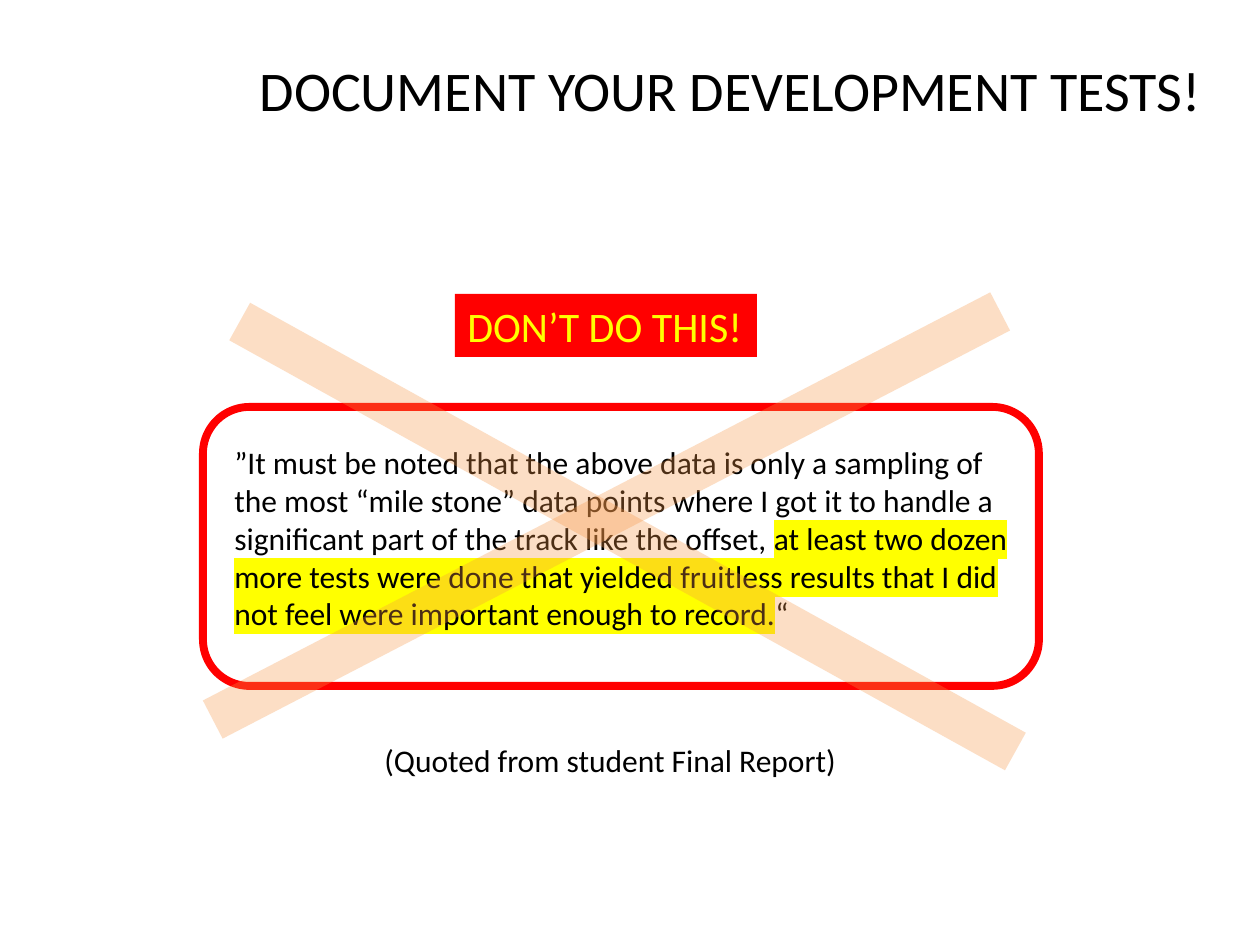
import pptx
import pptx.util
import pptx.dml.color
import pptx.enum.shapes
import pptx.enum.text
import pptx.oxml
import pptx.oxml.ns
import lxml.etree

SCALE = 914400 // 126  # EMU per px
SHAPE = pptx.enum.shapes.MSO_SHAPE
TEXT = pptx.enum.text


def tint(code):
    return pptx.dml.color.RGBColor.from_string(code)


def style(shape, size, code, wrap=False):
    frame = shape.text_frame
    frame.word_wrap = wrap
    frame.auto_size = TEXT.MSO_AUTO_SIZE.NONE
    frame.vertical_anchor = TEXT.MSO_ANCHOR.TOP
    for par in frame.paragraphs:
        par.alignment = TEXT.PP_ALIGN.LEFT
        for run in par.runs:
            run.font.name = "Calibri"
            run.font.size = pptx.util.Pt(size)
            run.font.color.rgb = tint(code)


deck = pptx.Presentation()
deck.slide_width = pptx.util.Inches(10)
deck.slide_height = pptx.util.Inches(7.5)
slide = deck.slides.add_slide(deck.slide_layouts[5])
shapes = slide.shapes

# Title
title = shapes.title
title.left, title.top, title.width, title.height = [
    n * SCALE for n in (247, 49, 977, 81)]
title.text_frame.text = "DOCUMENT YOUR DEVELOPMENT TESTS!"
style(title, 32, "000000")

# Quote with its highlighted part
quote = shapes.add_textbox(*[n * SCALE for n in (222, 437, 818, 204)])
parts = [
    "”It must be noted that the above data is only a sampling of the most "
    "“mile stone” data points where I got it to handle a significant part "
    "of the track like the offset, ",
    "at least two dozen more tests were done that yielded fruitless results "
    "that I did not feel were important enough to record.",
    "“",
]
para = quote.text_frame.paragraphs[0]
for part in parts:
    para.add_run().text = part
style(quote, 18, "000000", wrap=True)
mark = pptx.oxml.parse_xml(
    '<a:highlight %s><a:srgbClr val="FFFF00"/></a:highlight>'
    % pptx.oxml.ns.nsdecls("a"))
props = para.runs[1].font._element
props.find(pptx.oxml.ns.qn("a:solidFill")).addnext(mark)

# Warning label
label = shapes.add_shape(SHAPE.RECTANGLE, *[n * SCALE for n in (455, 294, 302, 63)])
label.shadow.inherit = False
label.fill.solid()
label.fill.fore_color.rgb = tint("FF0000")
label.line.fill.background()
label.text_frame.text = "DON’T DO THIS!"
style(label, 24, "FFFF00")

# Red frame around the quote
frame = shapes.add_shape(
    SHAPE.ROUNDED_RECTANGLE, *[n * SCALE for n in (203, 407, 836, 279)])
frame.shadow.inherit = False
frame.fill.background()
frame.line.color.rgb = tint("FF0000")
frame.line.width = pptx.util.Pt(4.5)

# Two translucent bars crossing it out
for left, top, turn in [(163, 494, 332.6), (184, 515, 209)]:
    bar = shapes.add_shape(SHAPE.RECTANGLE, *[n * SCALE for n in (left, top, 887, 43)])
    bar.rotation = turn
    bar.shadow.inherit = False
    bar.line.fill.background()
    bar.fill.solid()
    bar.fill.fore_color.rgb = tint("F79646")
    color = bar._element.spPr.find(".//" + pptx.oxml.ns.qn("a:srgbClr"))
    lxml.etree.SubElement(color, pptx.oxml.ns.qn("a:alpha"), val="31000")

# Source of the quote
source = shapes.add_textbox(*[n * SCALE for n in (372, 735, 483, 50)])
source.text_frame.text = "(Quoted from student Final Report)"
style(source, 18, "000000")

deck.save("out.pptx")
